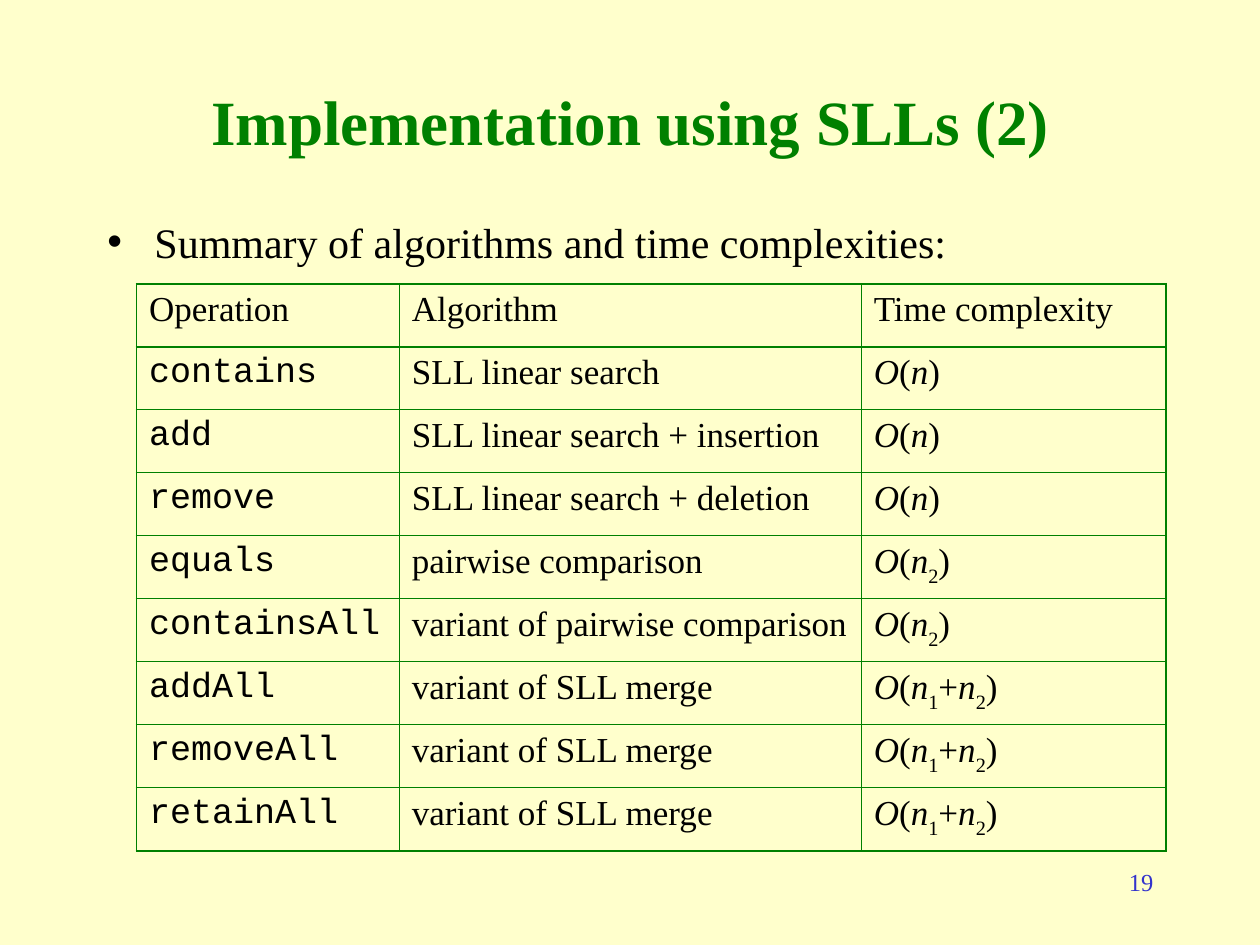
from dataclasses import dataclass
from itertools import groupby
from typing import NamedTuple

from lxml.etree import SubElement
from pptx import Presentation
from pptx.dml.color import RGBColor
from pptx.enum.text import MSO_ANCHOR, MSO_AUTO_SIZE, PP_ALIGN
from pptx.oxml import parse_xml
from pptx.oxml.ns import nsdecls, qn
from pptx.util import Cm, Pt


@dataclass(frozen=True)
class Theme:
    background: str = "FFFFCC"
    heading: str = "008000"
    text: str = "000000"
    number: str = "3333CC"
    border: str = "008000"
    serif: str = "Times New Roman"
    mono: str = "Courier New"
    heading_size: int = 36
    body_size: int = 24
    table_size: int = 20
    number_size: int = 14
    thick: float = 1.08
    thin: float = 0.45


class Operation(NamedTuple):
    name: str
    algorithm: str
    complexity: str


THEME = Theme()
HEADINGS = ("Operation", "Algorithm", "Time complexity")
OPERATIONS = [
    Operation("contains", "SLL linear search", "O(n)"),
    Operation("add", "SLL linear search + insertion", "O(n)"),
    Operation("remove", "SLL linear search + deletion", "O(n)"),
    Operation("equals", "pairwise comparison", "O(n2)"),
    Operation("containsAll", "variant of pairwise comparison", "O(n2)"),
    Operation("addAll", "variant of SLL merge", "O(n1+n2)"),
    Operation("removeAll", "variant of SLL merge", "O(n1+n2)"),
    Operation("retainAll", "variant of SLL merge", "O(n1+n2)"),
]
COLUMN_WIDTHS = (Cm(5.3), Cm(9.31), Cm(6.14))
ROW_HEIGHT = Cm(1.27)


def add_run(paragraph, text: str, size: int, color: str = THEME.text, font: str = THEME.serif):
    run = paragraph.add_run()
    run.text = text
    run.font.size = Pt(size)
    run.font.name = font
    run.font.color.rgb = RGBColor.from_string(color)
    return run


def add_formula(paragraph, formula: str) -> None:
    """Set letters in italics and digits as subscripts."""
    for (is_letter, is_digit), chars in groupby(formula, lambda c: (c.isalpha(), c.isdigit())):
        run = add_run(paragraph, "".join(chars), THEME.table_size)
        run.font.italic = is_letter
        if is_digit:
            run.font._element.set("baseline", "-30000")


def set_borders(cell, widths: dict[str, float]) -> None:
    """Border the cell; widths maps each side (L, R, T, B) to points."""
    cell.fill.background()
    properties = cell._tc.get_or_add_tcPr()
    for position, (side, width) in enumerate(widths.items()):
        line = parse_xml(
            f'<a:ln{side} {nsdecls("a")} w="{Pt(width)}"><a:solidFill>'
            f'<a:srgbClr val="{THEME.border}"/></a:solidFill></a:ln{side}>'
        )
        properties.insert(position, line)


def add_title(slide) -> None:
    title = slide.shapes.title
    title.left, title.top, title.width, title.height = Cm(1.91), Cm(1.48), Cm(21.59), Cm(1.91)
    frame = title.text_frame
    frame.auto_size = MSO_AUTO_SIZE.NONE
    frame.vertical_anchor = MSO_ANCHOR.MIDDLE
    heading = frame.paragraphs[0]
    heading.alignment = PP_ALIGN.CENTER
    run = add_run(heading, "Implementation using SLLs (2)", THEME.heading_size, THEME.heading)
    run.font.bold = True


def add_summary(slide) -> None:
    body = slide.placeholders[1]
    body.left, body.top, body.width, body.height = Cm(1.91), Cm(4.23), Cm(21.59), Cm(12.91)
    body.text_frame.auto_size = MSO_AUTO_SIZE.NONE
    summary = body.text_frame.paragraphs[0]
    summary.space_before = Pt(0)
    properties = summary._p.get_or_add_pPr()
    indent = Cm(0.95)
    properties.set("marL", str(indent))
    properties.set("indent", str(-indent))
    bullet_color = SubElement(properties, qn("a:buClr"))
    SubElement(bullet_color, qn("a:srgbClr"), val=THEME.text)
    SubElement(properties, qn("a:buChar"), char="•")
    add_run(summary, "Summary of algorithms and time complexities:", THEME.body_size)


def add_operations_table(slide) -> None:
    rows = [HEADINGS, *OPERATIONS]
    last_row, last_column = len(rows) - 1, len(HEADINGS) - 1
    table = slide.shapes.add_table(
        len(rows), len(HEADINGS), Cm(2.75), Cm(5.72), sum(COLUMN_WIDTHS), ROW_HEIGHT * len(rows)
    ).table
    table.first_row = table.horz_banding = False
    for column, width in zip(table.columns, COLUMN_WIDTHS):
        column.width = width
    for r, values in enumerate(rows):
        table.rows[r].height = ROW_HEIGHT
        for c, value in enumerate(values):
            cell = table.cell(r, c)
            entry = cell.text_frame.paragraphs[0]
            if r > 0 and c == last_column:
                add_formula(entry, value)
            else:
                font = THEME.mono if r > 0 and c == 0 else THEME.serif
                add_run(entry, value, THEME.table_size, font=font)
            thick_sides = {
                "L": c == 0,
                "R": c == last_column,
                "T": r <= 1,
                "B": r in (0, last_row),
            }
            set_borders(cell, {s: THEME.thick if t else THEME.thin for s, t in thick_sides.items()})


def add_page_number(slide) -> None:
    frame = slide.shapes.add_textbox(Cm(18.2), Cm(17.36), Cm(5.3), Cm(1.27)).text_frame
    frame.word_wrap = True
    number = frame.paragraphs[0]
    number.alignment = PP_ALIGN.RIGHT
    add_run(number, "19", THEME.number_size, THEME.number)


def main() -> None:
    presentation = Presentation()
    presentation.slide_width, presentation.slide_height = Cm(25.4), Cm(19.05)
    slide = presentation.slides.add_slide(presentation.slide_layouts[1])
    background = slide.background.fill
    background.solid()
    background.fore_color.rgb = RGBColor.from_string(THEME.background)
    add_page_number(slide)
    add_title(slide)
    add_summary(slide)
    add_operations_table(slide)
    presentation.save("out.pptx")


if __name__ == "__main__":
    main()
